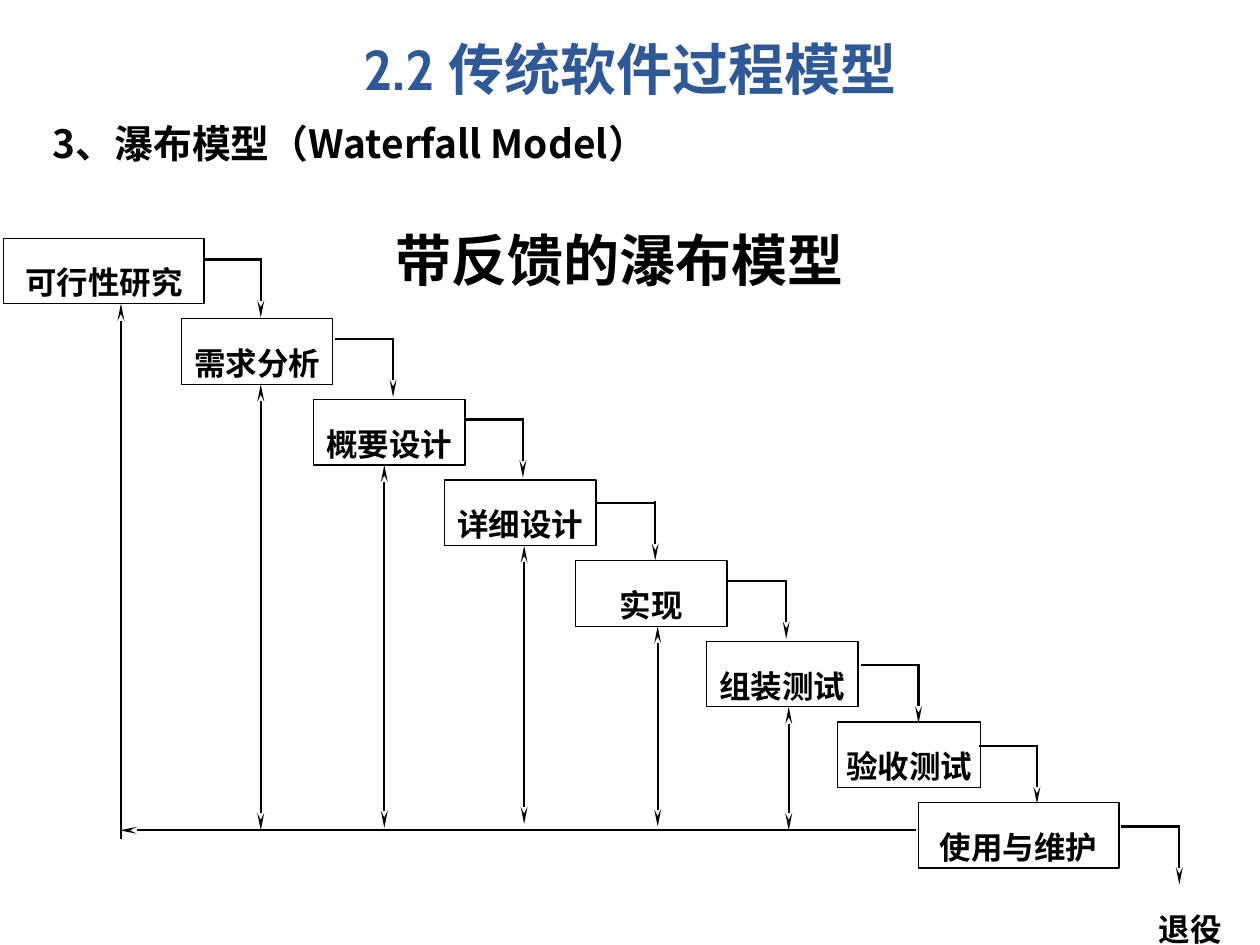
from pptx import Presentation, util as u
from pptx.dml.color import RGBColor
from pptx.enum import shapes, text
from pptx.oxml.ns import qn
from lxml import etree

prs = Presentation()
prs.slide_width, prs.slide_height = u.Inches(10), u.Inches(7.5)
slide = prs.slides.add_slide(prs.slide_layouts[6])
CJK = "Noto Sans CJK SC"


def write(words, at, size=18, font="Times New Roman", color="000000", align="CENTER",
          anchor="MIDDLE", space=1.3, inset=(0, 0.09, 0, 0), boxed=False):
    place = [u.Inches(n) for n in at]
    if boxed:
        shape = slide.shapes.add_shape(shapes.MSO_SHAPE.RECTANGLE, *place)
        shape.shadow.inherit = False
        shape.fill.background()
        shape.line.color.rgb = RGBColor.from_string("000000")
        shape.line.width = u.Pt(0.75)
    else:
        shape = slide.shapes.add_textbox(*place)
    frame = shape.text_frame
    frame.word_wrap = True
    frame.vertical_anchor = getattr(text.MSO_ANCHOR, anchor)
    frame.margin_left, frame.margin_top, frame.margin_right, frame.margin_bottom = [
        u.Inches(n) for n in inset]
    para = frame.paragraphs[0]
    para.alignment = getattr(text.PP_ALIGN, align)
    para.line_spacing = space
    run = para.add_run()
    run.text = words
    run.font.size, run.font.bold, run.font.name = u.Pt(size), True, font
    run.font.color.rgb = RGBColor.from_string(color)
    etree.SubElement(run.font._element, qn("a:ea"), typeface=CJK)


def draw(x1, y1, x2, y2, *ends):
    line = slide.shapes.add_connector(
        shapes.MSO_CONNECTOR.STRAIGHT, *[u.Inches(n) for n in (x1, y1, x2, y2)])
    line.line.color.rgb = RGBColor.from_string("000000")
    line.line.width = u.Pt(1.25)
    for end in ends:
        etree.SubElement(line.line._get_or_add_ln(), qn("a:" + end),
                         type="stealth", w="sm", len="lg")
    etree.SubElement(line._element.spPr, qn("a:effectLst"))


# Stages: name, left, width, elbow start (x, y), feedback line (x, bottom)
top, rise, tall = 1.89, 0.64, 0.52
run_x, drop = 0.46, 0.47
base = 6.59
stages = [
    ("可行性研究", 0.03, 1.59, 1.61, 2.06, 0.96, 6.66),
    ("需求分析", 1.44, 1.2, 2.66, 2.69, 2.07, base),
    ("概要设计", 2.49, 1.2, 3.69, 3.33, 3.05, 6.57),
    ("详细设计", 3.53, 1.2, 4.74, 3.99, 4.16, 6.54),
    ("实现", 4.57, 1.2, 5.78, 4.61, 5.22, 6.56),
    ("组装测试", 5.61, 1.2, 6.83, 5.28, 6.26, base),
    ("验收测试", 6.65, 1.13, 7.77, 5.92, None, None),
    ("使用与维护", 7.29, 1.59, 8.9, 6.56, None, None),
]
for i, (name, left, wide, x, y, back, foot) in enumerate(stages):
    row = top + i * rise
    write(name, (left, row, wide, tall), boxed=True)
    # Step down to the next stage
    draw(x, y, x + run_x, y)
    draw(x + run_x, y - 0.01, x + run_x, y + drop - 0.01, "tailEnd")
    # Feedback; the first stage only receives it
    if back:
        ends = ("headEnd", "tailEnd") if i else ("headEnd",)
        draw(back, row + tall, back, foot, *ends)

# Shared feedback line and the end of life
draw(0.95, base, 7.27, base, "headEnd")
write("退役", (9.09, 7.09, 0.71, 0.39))

# Headings
pad = (0.1, 0.05, 0.1, 0.05)
write("带反馈的瀑布模型", (2.04, 1.63, 5.76, 0.6), size=32, anchor="TOP", inset=(0, 0, 0, 0))
write("3、瀑布模型（Waterfall Model）", (0.32, 0.6, 9, 0.77), size=22.2, font=CJK,
      align="LEFT", anchor="BOTTOM", space=u.Pt(58), inset=pad)
write("2.2 传统软件过程模型", (0.5, 0, 9, 0.86), size=32, font="Cabin",
      color="2F5897", anchor="BOTTOM", space=u.Pt(58), inset=pad)

prs.save("out.pptx")
